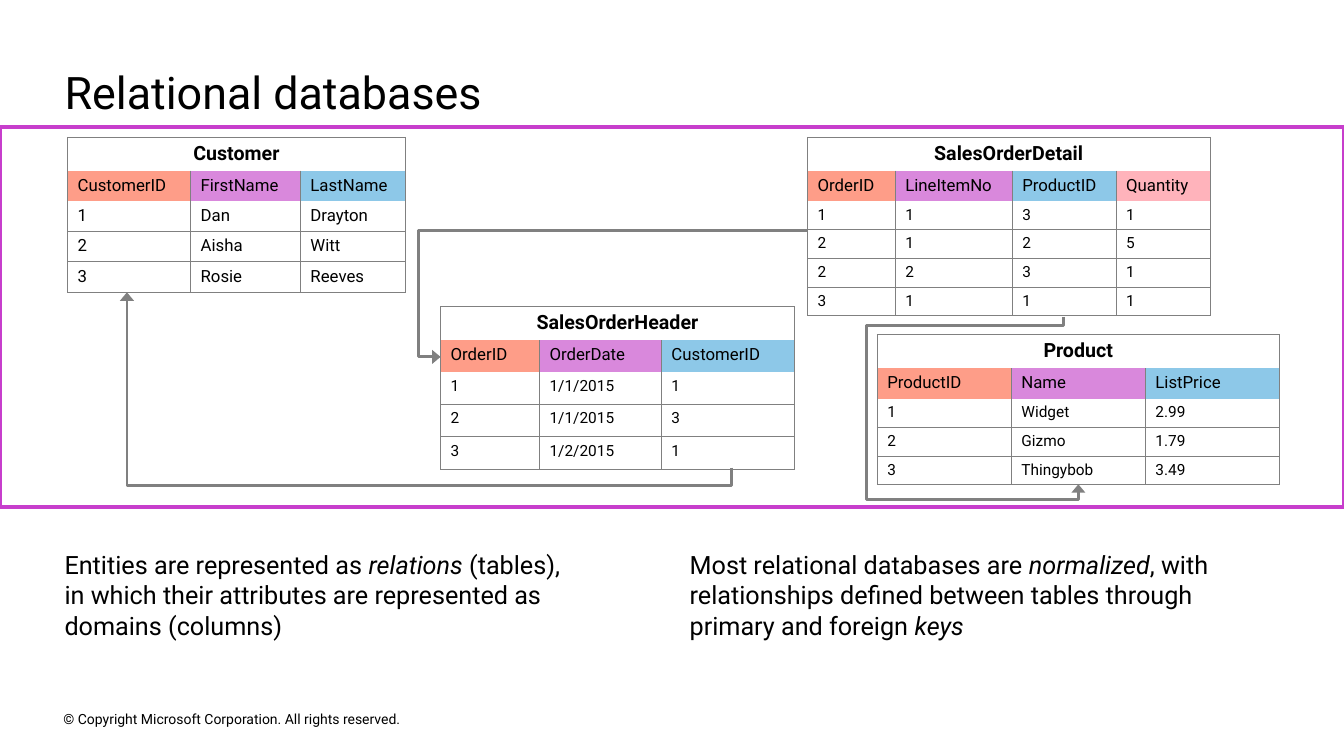
"""Build the slide on relational databases and their linked tables."""
from dataclasses import dataclass
from typing import NamedTuple

from pptx import Presentation, oxml, slide as sl, table as tb, util as u
from pptx.dml.color import RGBColor
from pptx.enum import shapes, text
from pptx.oxml import ns
from pptx.text import text as tx

FONT = "Roboto"
BLACK = RGBColor(0x00, 0x00, 0x00)
WHITE = RGBColor(0xFF, 0xFF, 0xFF)
GREY = RGBColor(0x80, 0x80, 0x80)
MAGENTA = RGBColor(0xC7, 0x3E, 0xCC)
FIELD_FILLS = [
    RGBColor(0xFE, 0x9D, 0x88),
    RGBColor(0xD9, 0x88, 0xDC),
    RGBColor(0x8D, 0xC8, 0xE8),
    RGBColor(0xFF, 0xB3, 0xBB),
]
NO_GRID_STYLE = "{2D5ABB26-0587-4C30-8999-92F81FD0307C}"
SLIDE_WIDTH, SLIDE_HEIGHT = 13.33, 7.5
TITLE_ROW, FIELD_ROW = 0.32, 0.29


class Span(NamedTuple):
    words: str
    italic: bool = False


class Box(NamedTuple):
    left: float
    top: float
    width: float
    height: float

    def lengths(self) -> list[u.Length]:
        return [u.Inches(value) for value in self]


@dataclass
class Relation:
    name: str
    left: float
    top: float
    widths: list[float]
    row_height: float
    size: int
    fields: list[str]
    records: list[list[str]]


@dataclass
class KeyLink:
    box: Box
    rotation: int
    flip: str
    preset: str
    adjustments: list[float]


RELATIONS = [
    Relation("Customer", 0.67, 1.36, [1.22, 1.09, 1.04], 0.29, 12,
             ["CustomerID", "FirstName", "LastName"],
             [["1", "Dan", "Drayton"], ["2", "Aisha", "Witt"], ["3", "Rosie", "Reeves"]]),
    Relation("SalesOrderHeader", 4.37, 3.04, [0.98, 1.21, 1.32], 0.32, 11,
             ["OrderID", "OrderDate", "CustomerID"],
             [["1", "1/1/2015", "1"], ["2", "1/1/2015", "3"], ["3", "1/2/2015", "1"]]),
    Relation("SalesOrderDetail", 8.01, 1.36, [0.87, 1.16, 1.03, 0.93], 0.27, 11,
             ["OrderID", "LineItemNo", "ProductID", "Quantity"],
             [["1", "1", "3", "1"], ["2", "1", "2", "5"],
              ["2", "2", "3", "1"], ["3", "1", "1", "1"]]),
    Relation("Product", 8.7, 3.32, [1.33, 1.33, 1.33], 0.27, 11,
             ["ProductID", "Name", "ListPrice"],
             [["1", "Widget", "2.99"], ["2", "Gizmo", "1.79"], ["3", "Thingybob", "3.49"]]),
]

KEY_LINKS = [
    KeyLink(Box(3.39, 0.77, 1.74, 6), 90, "flipH", "bentConnector3", [-0.1]),
    KeyLink(Box(4.37, 2.29, 3.64, 1.25), 180, "flipV", "bentConnector3", [1.06]),
    KeyLink(Box(9.79, 3.9, 1.66, 0.15), 270, "flipH", "bentConnector5",
            [0.05, -12.99, 1.09]),
]

BODIES = [
    (0.64, [[Span("Entities are represented as "), Span("relations", True),
             Span(" (tables), ")],
            [Span("in which their attributes are represented as domains (columns)")]]),
    (6.84, [[Span("Most relational databases are "), Span("normalized", True),
             Span(", with relationships defined between tables through "
                  "primary and foreign "),
             Span("keys", True)]]),
]


def add_span(para: tx._Paragraph, span: Span, size: int, bold: bool = False) -> None:
    run = para.add_run()
    run.text = span.words
    run.font.name = FONT
    run.font.size = u.Pt(size)
    run.font.bold = bold
    run.font.italic = span.italic
    run.font.color.rgb = BLACK


def write_lines(frame: tx.TextFrame, lines: list[list[Span]], size: int,
                anchor: text.MSO_ANCHOR = text.MSO_ANCHOR.TOP) -> None:
    frame.margin_left = frame.margin_right = frame.margin_top = frame.margin_bottom = 0
    frame.word_wrap = True
    frame.vertical_anchor = anchor
    para = frame.paragraphs[0]
    properties = para._p.get_or_add_pPr()
    properties.set("marL", "0")
    properties.set("indent", "0")
    properties.append(oxml.parse_xml(f'<a:buNone {ns.nsdecls("a")}/>'))
    para.alignment = text.PP_ALIGN.LEFT
    para.space_before = u.Pt(0)
    for number, line in enumerate(lines):
        if number:
            para.add_line_break()
        for span in line:
            add_span(para, span, size)


def place(page: sl.Slide, index: int, box: Box, lines: list[list[Span]], size: int) -> None:
    holder = page.placeholders[index]
    holder.left, holder.top, holder.width, holder.height = box.lengths()
    write_lines(holder.text_frame, lines, size)
    holder.text_frame.auto_size = text.MSO_AUTO_SIZE.SHAPE_TO_FIT_TEXT


def fill_cell(cell: tb._Cell, words: str, size: int, sides: str,
              fill: RGBColor | None = None, heading: bool = False) -> None:
    properties = cell._tc.get_or_add_tcPr()
    for side in "LRTB":
        paint = (f'<a:solidFill><a:srgbClr val="{GREY}"/></a:solidFill>'
                 if side in sides else "<a:noFill/>")
        properties.append(oxml.parse_xml(
            f'<a:ln{side} {ns.nsdecls("a")} w="{u.Pt(0.5)}">{paint}</a:ln{side}>'))
    if fill is None:
        cell.fill.background()
    else:
        cell.fill.solid()
        cell.fill.fore_color.rgb = fill
    para = cell.text_frame.paragraphs[0]
    para.alignment = text.PP_ALIGN.CENTER if heading else text.PP_ALIGN.LEFT
    add_span(para, Span(words), size, heading)


def add_relation(page: sl.Slide, relation: Relation) -> None:
    heights = [TITLE_ROW, max(FIELD_ROW, relation.row_height)]
    heights += [relation.row_height] * len(relation.records)
    box = Box(relation.left, relation.top, sum(relation.widths), sum(heights))
    table = page.shapes.add_table(
        len(heights), len(relation.widths), *box.lengths()).table
    table.first_row = table.horz_banding = False
    table._tbl.tblPr.find(ns.qn("a:tableStyleId")).text = NO_GRID_STYLE
    for column, width in zip(table.columns, relation.widths):
        column.width = u.Inches(width)
    for row, height in zip(table.rows, heights):
        row.height = u.Inches(height)
    table.cell(0, 0).merge(table.cell(0, len(relation.widths) - 1))
    fill_cell(table.cell(0, 0), relation.name, 14, "LRT", heading=True)
    for column, field in enumerate(relation.fields):
        fill_cell(table.cell(1, column), field, 12, "LR", FIELD_FILLS[column])
    for row, record in enumerate(relation.records, 2):
        for column, value in enumerate(record):
            sides = "LRB" if row == 2 else "LRTB"
            fill_cell(table.cell(row, column), value, relation.size, sides)


def add_key_link(page: sl.Slide, link: KeyLink) -> None:
    left, top, width, height = link.box.lengths()
    connector = page.shapes.add_connector(
        shapes.MSO_CONNECTOR.ELBOW, left, top, left + width, top + height)
    connector.line.color.rgb = GREY
    connector.line.width = u.Pt(2)
    drawing = connector._element.spPr
    drawing.xfrm.set("rot", str(link.rotation * 60000))
    drawing.xfrm.set(link.flip, "1")
    geometry = drawing.find(ns.qn("a:prstGeom"))
    geometry.set("prst", link.preset)
    guides = geometry.find(ns.qn("a:avLst"))
    for number, share in enumerate(link.adjustments, 1):
        guides.append(oxml.parse_xml(
            f'<a:gd {ns.nsdecls("a")} name="adj{number}" fmla="val {round(share * 100000)}"/>'))
    drawing.get_or_add_ln().append(oxml.parse_xml(
        f'<a:tailEnd {ns.nsdecls("a")} type="triangle" w="lg" len="med"/>'))
    drawing.append(oxml.parse_xml(f'<a:effectLst {ns.nsdecls("a")}/>'))


def main() -> None:
    deck = Presentation()
    deck.slide_width, deck.slide_height = u.Inches(SLIDE_WIDTH), u.Inches(SLIDE_HEIGHT)
    page = deck.slides.add_slide(deck.slide_layouts[3])
    place(page, 0, Box(0.64, 0.64, 12.04, 0.54), [[Span("Relational databases")]], 32)
    for index, (left, lines) in enumerate(BODIES, 1):
        place(page, index, Box(left, 5.45, 5.67, 0.91), lines, 18)
    notice = page.shapes.add_textbox(*Box(0.63, 7.02, 4.54, 0.22).lengths())
    write_lines(notice.text_frame,
                [[Span("© Copyright Microsoft Corporation. All rights reserved.")]],
                10, text.MSO_ANCHOR.MIDDLE)
    band = page.shapes.add_shape(
        shapes.MSO_SHAPE.RECTANGLE, *Box(0, 1.26, SLIDE_WIDTH, 3.77).lengths())
    band.shadow.inherit = False
    band.fill.solid()
    band.fill.fore_color.rgb = WHITE
    band.line.color.rgb = MAGENTA
    band.line.width = u.Pt(3)
    for relation in RELATIONS:
        add_relation(page, relation)
    for link in KEY_LINKS:
        add_key_link(page, link)
    deck.save("out.pptx")


if __name__ == "__main__":
    main()
